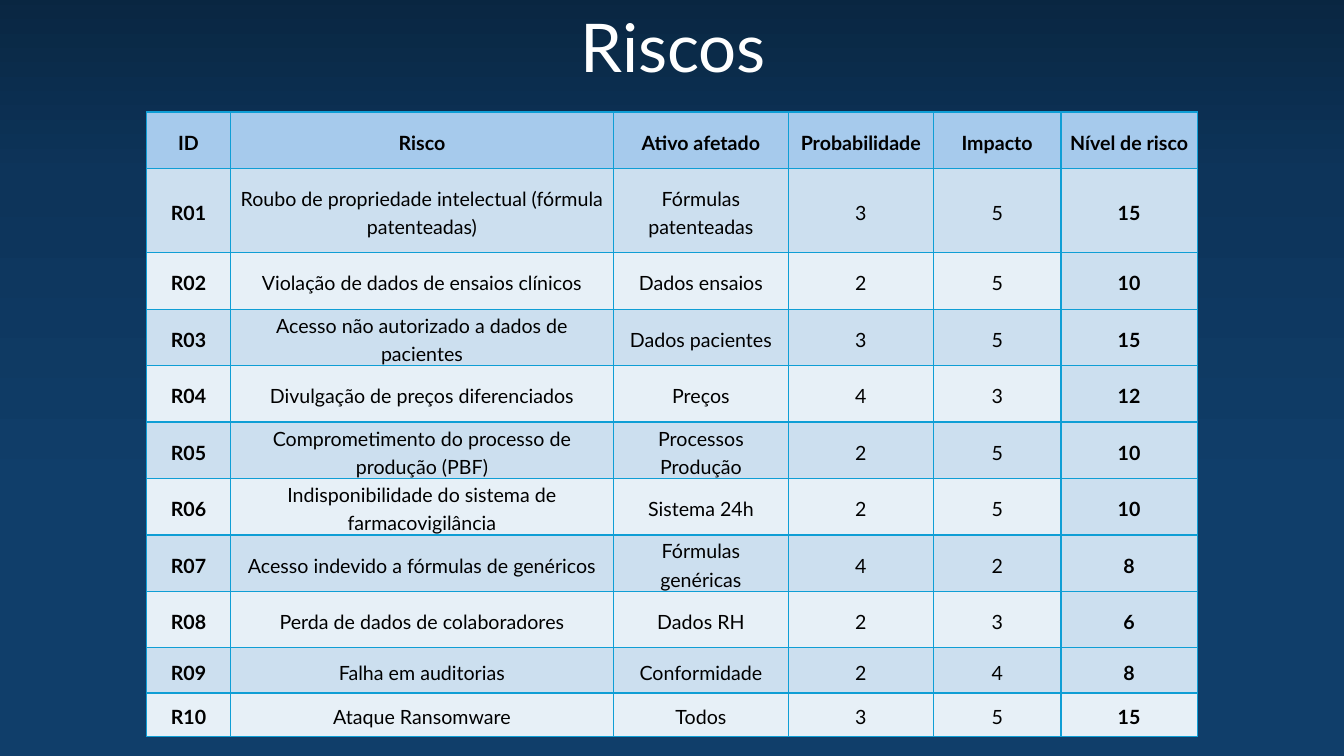
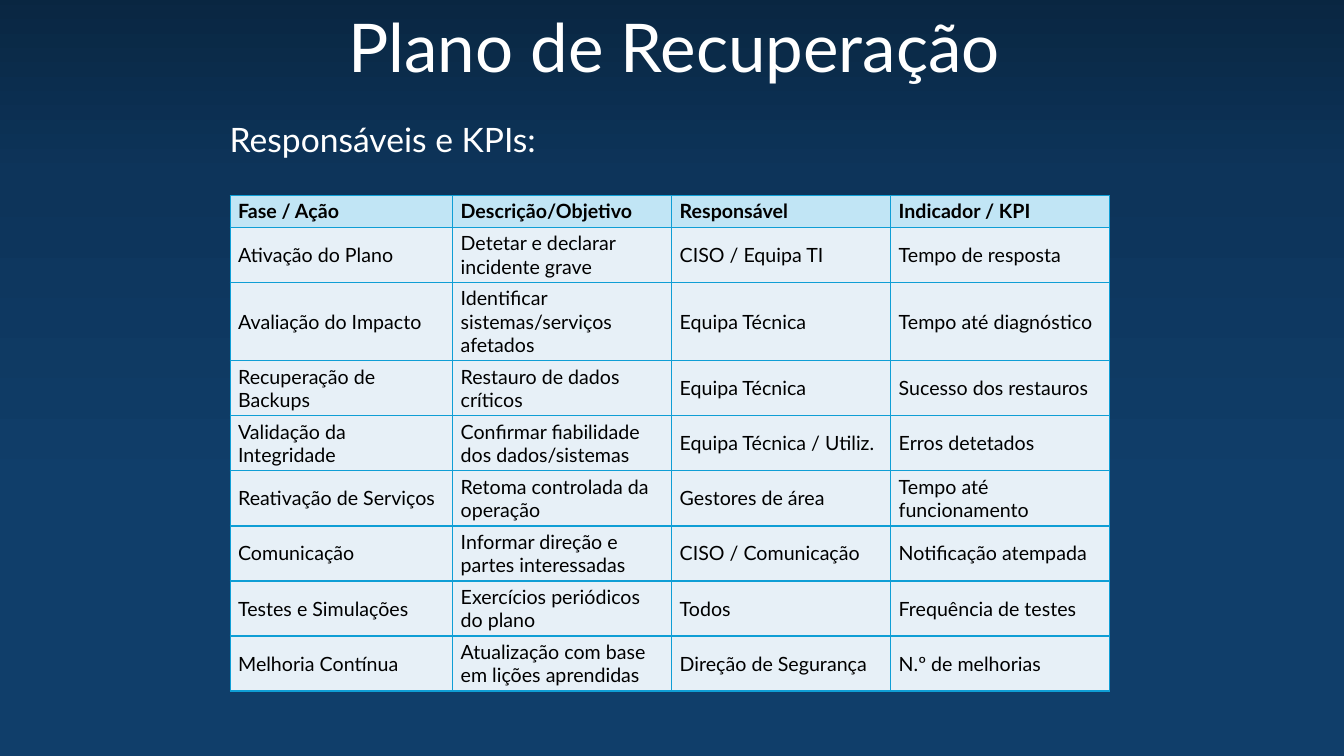
from copy import deepcopy

from pptx import Presentation
from pptx.dml.color import RGBColor
from pptx.enum.shapes import MSO_SHAPE
from pptx.enum.text import MSO_ANCHOR, MSO_AUTO_SIZE, PP_ALIGN
from pptx.oxml import parse_xml
from pptx.oxml.ns import nsdecls, qn
from pptx.util import Cm, Pt

RECTANGLE = MSO_SHAPE.RECTANGLE
MIDDLE = MSO_ANCHOR.MIDDLE
LEFT, CENTER = PP_ALIGN.LEFT, PP_ALIGN.CENTER
GROW = MSO_AUTO_SIZE.SHAPE_TO_FIT_TEXT

# Shared style
color = RGBColor.from_string
FONT = "Lato"
WHITE, BLACK = "FFFFFF", "000000"
NIGHT_STOPS = [(0, "09253F"), (0.25, "0D345A"), (0.65, "103E6A")]
GRID_LINE = "0F9ED5"
MID_ROW, LIGHT_ROW = "CCDFEF", "E7F0F7"

# Content
risks = [
    ("ID", "Risco", "Ativo afetado", "Probabilidade", "Impacto", "Nível de risco"),
    ("R01", "Roubo de propriedade intelectual (fórmula patenteadas)", "Fórmulas patenteadas", "3", "5", "15"),
    ("R02", "Violação de dados de ensaios clínicos", "Dados ensaios", "2", "5", "10"),
    ("R03", "Acesso não autorizado a dados de pacientes", "Dados pacientes", "3", "5", "15"),
    ("R04", "Divulgação de preços diferenciados", "Preços", "4", "3", "12"),
    ("R05", "Comprometimento do processo de produção (PBF)", "Processos Produção", "2", "5", "10"),
    ("R06", "Indisponibilidade do sistema de farmacovigilância", "Sistema 24h", "2", "5", "10"),
    ("R07", "Acesso indevido a fórmulas de genéricos", "Fórmulas genéricas", "4", "2", "8"),
    ("R08", "Perda de dados de colaboradores", "Dados RH", "2", "3", "6"),
    ("R09", "Falha em auditorias", "Conformidade", "2", "4", "8"),
    ("R10", "Ataque Ransomware", "Todos", "3", "5", "15"),
]
recovery = [
    ("Fase / Ação", "Descrição/Objetivo", "Responsável", "Indicador / KPI"),
    ("Ativação do Plano", "Detetar e declarar incidente grave", "CISO / Equipa TI", "Tempo de resposta"),
    ("Avaliação do Impacto", "Identificar sistemas/serviços afetados", "Equipa Técnica", "Tempo até diagnóstico"),
    ("Recuperação de Backups", "Restauro de dados críticos", "Equipa Técnica", "Sucesso dos restauros"),
    ("Validação da Integridade", "Confirmar fiabilidade dos dados/sistemas", "Equipa Técnica / Utiliz.", "Erros detetados"),
    ("Reativação de Serviços", "Retoma controlada da operação", "Gestores de área", "Tempo até funcionamento"),
    ("Comunicação", "Informar direção e partes interessadas", "CISO / Comunicação", "Notificação atempada"),
    ("Testes e Simulações", "Exercícios periódicos do plano", "Todos", "Frequência de testes"),
    ("Melhoria Contínua", "Atualização com base em lições aprendidas", "Direção de Segurança", "N.º de melhorias"),
]
pages = [
    {
        "title": ("Riscos", 14.38, 5.46),
        "rows": risks,
        "at": (3.69, 2.82),
        "widths": [2.12, 9.65, 4.41, 3.65, 3.22, 3.43],
        "heights": [1.42, 2.13] + [1.42] * 7 + [1.14, 1.1],
        "header": "A6CAEC",
        "banded": True,
        "last_top": 2,
        "margins": (0.18, 0),
        "paragraph": {"alignment": CENTER, "line_spacing": 1.2,
                      "space_before": Pt(3), "space_after": Pt(3)},
    },
    {
        "title": ("Plano de Recuperação", 8.53, 17.12),
        "subtitle": "Responsáveis e KPIs:",
        "rows": recovery,
        "at": (5.8, 4.93),
        "widths": [5.61, 5.52, 5.52, 5.52],
        "heights": [0.77, 1.35, 1.93] + [1.35] * 6,
        "header": "C1E5F5",
        "banded": False,
        "last_top": 1,
        "margins": (0.2, 0.1),
        "paragraph": {"alignment": LEFT},
    },
]


def write(paragraph, text, size, hex_color, bold=False):
    run = paragraph.add_run()
    run.text = text
    style = {"name": FONT, "size": Pt(size), "bold": bold}
    for key, value in style.items():
        setattr(run.font, key, value)
    run.font.color.rgb = color(hex_color)


def add_heading(slide, text, size, left, top, width, height, wrap):
    frame = slide.shapes.add_textbox(Cm(left), Cm(top), Cm(width), Cm(height)).text_frame
    frame.word_wrap = wrap
    frame.auto_size = GROW
    write(frame.paragraphs[0], text, size, WHITE)


prs = Presentation()
prs.slide_width, prs.slide_height = Cm(33.87), Cm(19.05)

for page in pages:
    slide = prs.slides.add_slide(prs.slide_layouts[6])

    # Night-blue backdrop
    backdrop = slide.shapes.add_shape(RECTANGLE, Cm(-0.67), Cm(-0.6), Cm(35.5), Cm(20.27))
    backdrop.shadow.inherit = False
    backdrop.line.color.rgb = color(BLACK)
    backdrop.line.width = Pt(1.5)
    backdrop.fill.gradient()
    backdrop.fill.gradient_angle = 270
    stop_list = backdrop._element.spPr.find(qn("a:gradFill")).find(qn("a:gsLst"))
    stop_list.append(deepcopy(stop_list[0]))
    for stop, (position, shade) in zip(backdrop.fill.gradient_stops, NIGHT_STOPS):
        stop.position = position
        stop.color.rgb = color(shade)

    # Headings
    title, title_left, title_width = page["title"]
    add_heading(slide, title, 48, title_left, 0, title_width, 2.31, False)
    if "subtitle" in page:
        add_heading(slide, page["subtitle"], 24, 5.54, 2.87, 14.81, 1.27, True)

    # Table grid
    rows, widths, heights = page["rows"], page["widths"], page["heights"]
    left, top = page["at"]
    table = slide.shapes.add_table(len(rows), len(widths), Cm(left), Cm(top),
                                   Cm(sum(widths)), Cm(sum(heights))).table
    table.horz_banding = False
    for column, width in zip(table.columns, widths):
        column.width = Cm(width)
    for row, height in zip(table.rows, heights):
        row.height = Cm(height)

    # Table cells
    side, edge = page["margins"]
    last_row, last_column = len(rows) - 1, len(widths) - 1
    for r, values in enumerate(rows):
        for c, text in enumerate(values):
            cell = table.cell(r, c)
            layout = {"vertical_anchor": MIDDLE,
                      "margin_left": Cm(side), "margin_right": Cm(side),
                      "margin_top": Cm(edge), "margin_bottom": Cm(edge)}
            for key, value in layout.items():
                setattr(cell, key, value)

            level = c == last_column and r < last_row
            if r == 0:
                shade = page["header"]
            elif page["banded"] and (r % 2 or level):
                shade = MID_ROW
            else:
                shade = LIGHT_ROW
            cell.fill.solid()
            cell.fill.fore_color.rgb = color(shade)

            top_width = page["last_top"] if r == last_row else 1
            borders = {"L": 1, "R": 1, "T": top_width, "B": 1}
            for place, (border, points) in enumerate(borders.items()):
                cell._tc.get_or_add_tcPr().insert(place, parse_xml(
                    f'<a:ln{border} {nsdecls("a")} w="{Pt(points)}"><a:solidFill>'
                    f'<a:srgbClr val="{GRID_LINE}"/></a:solidFill></a:ln{border}>'))

            paragraph = cell.text_frame.paragraphs[0]
            for key, value in page["paragraph"].items():
                setattr(paragraph, key, value)
            bold = r == 0 or page["banded"] and c in (0, last_column)
            write(paragraph, text, 14, BLACK, bold)

prs.save("out.pptx")
